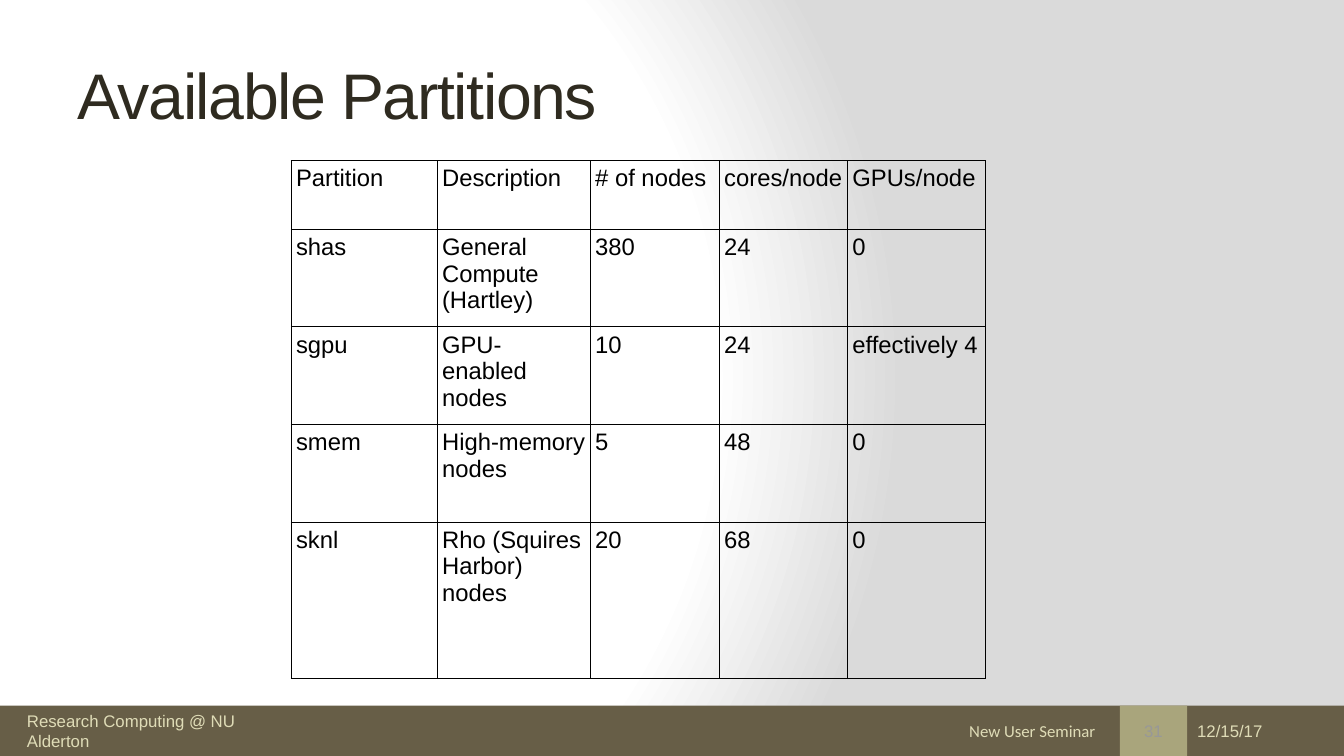
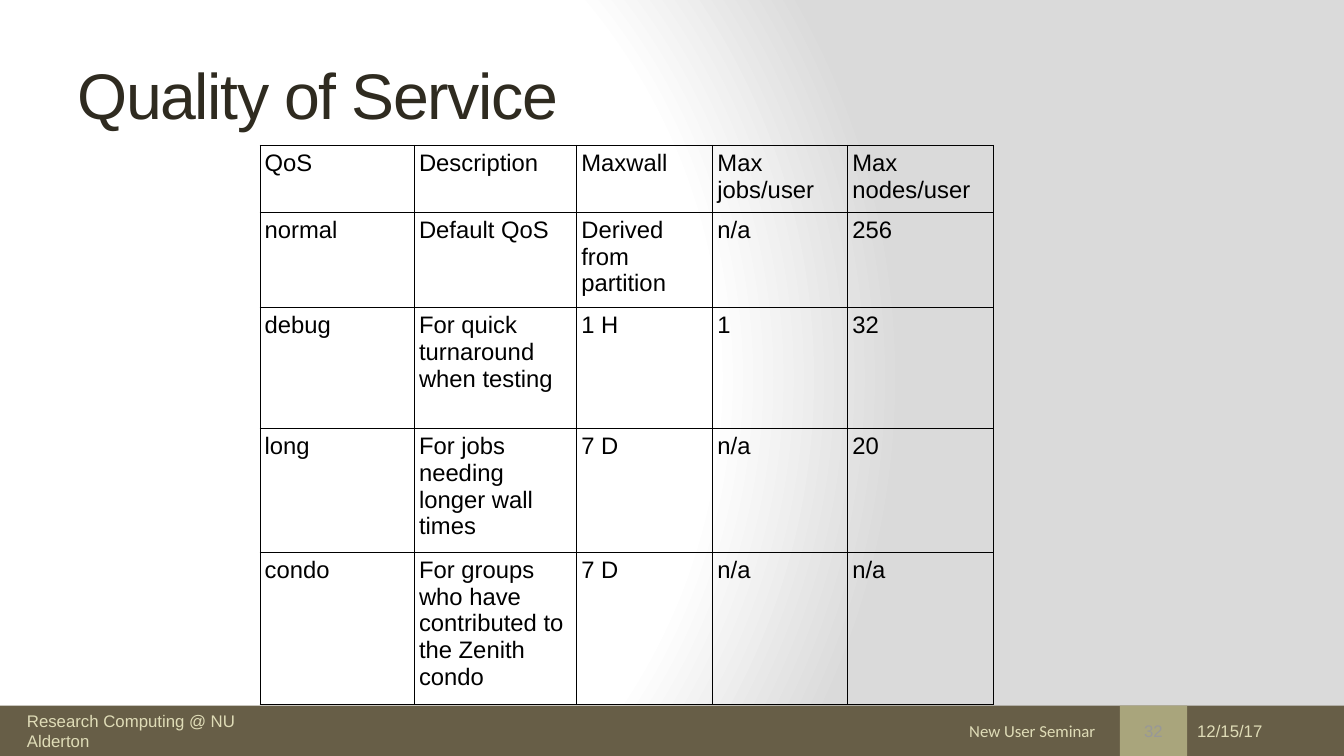
"""Build two table slides about partitions and quality of service."""
from pptx import Presentation
from pptx.dml.color import RGBColor
from pptx.enum.shapes import MSO_SHAPE
from pptx.enum.text import MSO_ANCHOR, PP_ALIGN
from pptx.oxml import parse_xml
from pptx.oxml.ns import nsdecls, qn
from pptx.util import Cm, Pt

BAND = RGBColor(0x67, 0x5E, 0x47)
BADGE = RGBColor(0xA9, 0xA5, 0x7C)
FOOTER = RGBColor(0xDF, 0xDC, 0xB7)
NUMBER = RGBColor(0x98, 0x98, 0x98)
TITLE = RGBColor(0x2F, 0x2B, 0x20)
BLACK = RGBColor(0, 0, 0)
BACKGROUND_STOPS = [(0, "FFFFFF"), (75, "FFFFFF"), (100, "DADADA")]

SLIDE_WIDTH, SLIDE_HEIGHT, BAND_HEIGHT = 33.87, 19.05, 1.27
BAND_TOP = SLIDE_HEIGHT - BAND_HEIGHT
BADGE_LEFT, BADGE_WIDTH = 28.22, 1.7
TITLE_BOX = (1.7, 0.76, 30.33, 3.18)
CELL_INSET = 0.12

FOOTERS = [
    ("Research Computing @ NU Alderton", (0.43, 18.03, 7.37, 0.76), "Arial", PP_ALIGN.LEFT),
    ("New User Seminar", (12.09, 17.91, 15.77, 1.02), "Calibri", PP_ALIGN.RIGHT),
    ("12/15/17", (29.92, 17.91, 3.71, 1.02), "Arial", PP_ALIGN.LEFT),
]

SLIDES = [
    {
        "title": "Available Partitions",
        "number": "31",
        "corner": (7.34, 4.04),
        "columns": [3.68, 3.86, 3.25, 3.23, 3.48],
        "heights": [1.73, 2.46, 2.46, 2.46, 3.94],
        "rows": [
            ("Partition", "Description", "# of nodes", "cores/node", "GPUs/node"),
            ("shas", "General Compute (Hartley)", "380", "24", "0"),
            ("sgpu", "GPU-enabled nodes", "10", "24", "effectively 4"),
            ("smem", "High-memory nodes", "5", "48", "0"),
            ("sknl", "Rho (Squires Harbor) nodes", "20", "68", "0"),
        ],
    },
    {
        "title": "Quality of Service",
        "number": "32",
        "corner": (6.55, 3.66),
        "columns": [3.89, 4.09, 3.43, 3.4, 3.68],
        "heights": [1.68, 2.39, 3.05, 3.05, 3.84],
        "rows": [
            ("QoS", "Description", "Maxwall", "Max jobs/user", "Max nodes/user"),
            ("normal", "Default QoS", "Derived from partition", "n/a", "256"),
            ("debug", "For quick turnaround when testing", "1 H", "1", "32"),
            ("long", "For jobs needing longer wall times", "7 D", "n/a", "20"),
            ("condo", "For groups who have contributed to the Zenith condo", "7 D", "n/a", "n/a"),
        ],
    },
]


def set_background(master):
    """Give the master a circular gradient background."""
    master.background.fill.solid()
    properties = master.element.find(".//" + qn("p:bgPr"))
    stops = "".join(
        f'<a:gs pos="{position * 1000}"><a:srgbClr val="{color}"/></a:gs>'
        for position, color in BACKGROUND_STOPS
    )
    properties.replace(properties[0], parse_xml(
        f'<a:gradFill {nsdecls("a")} rotWithShape="1"><a:gsLst>{stops}</a:gsLst>'
        '<a:path path="circle"><a:fillToRect l="20000" t="50000" r="100000" b="50000"/>'
        '</a:path></a:gradFill>'
    ))


def write(frame, text, size, color, font="Arial", align=PP_ALIGN.LEFT):
    """Set the text of a frame and format its run."""
    frame.text = text
    paragraph = frame.paragraphs[0]
    paragraph.alignment = align
    run = paragraph.runs[0]
    run.font.name, run.font.size = font, Pt(size)
    run.font.color.rgb = color
    return run


def add_block(slide, box, color):
    """Add a plain filled rectangle."""
    shape = slide.shapes.add_shape(MSO_SHAPE.RECTANGLE, *map(Cm, box))
    shape.shadow.inherit = False
    shape.fill.solid()
    shape.fill.fore_color.rgb = color
    shape.line.fill.background()
    return shape


def add_footer(slide, number):
    """Add the bottom band, the number badge and the footer texts."""
    add_block(slide, (0, BAND_TOP, SLIDE_WIDTH, BAND_HEIGHT), BAND)
    badge = add_block(slide, (BADGE_LEFT, BAND_TOP, BADGE_WIDTH, BAND_HEIGHT), BADGE)
    badge.text_frame.vertical_anchor = MSO_ANCHOR.MIDDLE
    write(badge.text_frame, number, 12, NUMBER, align=PP_ALIGN.CENTER)
    for text, box, font, align in FOOTERS:
        frame = slide.shapes.add_textbox(*map(Cm, box)).text_frame
        frame.word_wrap = True
        frame.vertical_anchor = MSO_ANCHOR.MIDDLE
        write(frame, text, 12, FOOTER, font, align)


def set_title(slide, text):
    """Place and format the title placeholder."""
    title = slide.shapes.title
    title.left, title.top, title.width, title.height = map(Cm, TITLE_BOX)
    title.text_frame.vertical_anchor = MSO_ANCHOR.MIDDLE
    run = write(title.text_frame, text, 46, TITLE)
    run.font._element.set("spc", "-100") if hasattr(run.font, "_element") else \
        run._r.get_or_add_rPr().set("spc", "-100")


def format_cell(cell, text):
    """Fill one cell with text and give it thin black borders."""
    cell.margin_left = cell.margin_right = Cm(CELL_INSET)
    cell.margin_top = cell.margin_bottom = Cm(CELL_INSET)
    write(cell.text_frame, text, 17, BLACK)
    properties = cell._tc.get_or_add_tcPr()
    for side in ("lnL", "lnR", "lnT", "lnB"):
        properties.append(parse_xml(
            f'<a:{side} {nsdecls("a")} w="6350"><a:solidFill>'
            f'<a:srgbClr val="{BLACK}"/></a:solidFill></a:{side}>'
        ))
    cell.fill.background()


def add_grid(slide, content):
    """Add the table with its column widths and row heights."""
    columns, heights, rows = content["columns"], content["heights"], content["rows"]
    box = (*content["corner"], sum(columns), sum(heights))
    table = slide.shapes.add_table(len(rows), len(columns), *map(Cm, box)).table
    table.first_row = table.horz_banding = False
    for column, width in zip(table.columns, columns):
        column.width = Cm(width)
    for row, height, texts in zip(table.rows, heights, rows):
        row.height = Cm(height)
        for cell, text in zip(row.cells, texts):
            format_cell(cell, text)


presentation = Presentation()
presentation.slide_width, presentation.slide_height = Cm(SLIDE_WIDTH), Cm(SLIDE_HEIGHT)
set_background(presentation.slide_master)
for content in SLIDES:
    slide = presentation.slides.add_slide(presentation.slide_layouts[5])
    add_footer(slide, content["number"])
    set_title(slide, content["title"])
    add_grid(slide, content)
presentation.save("out.pptx")
